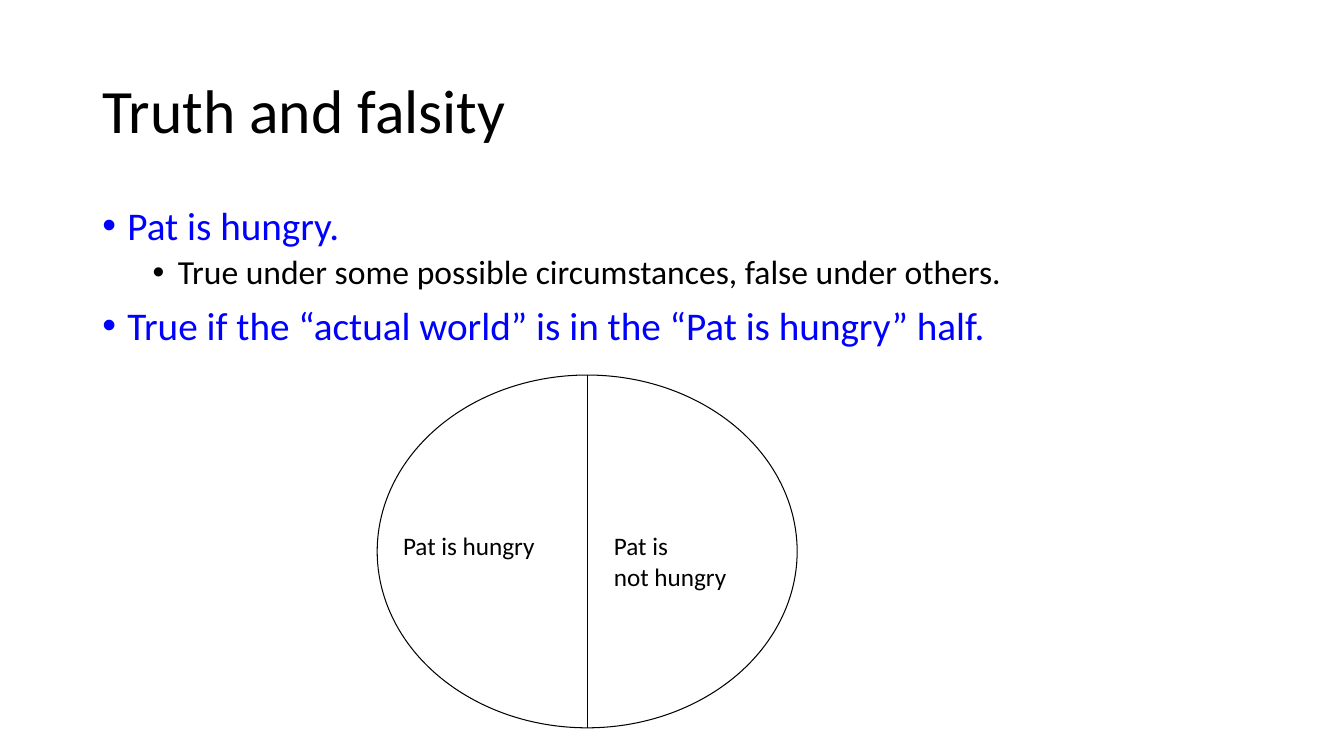
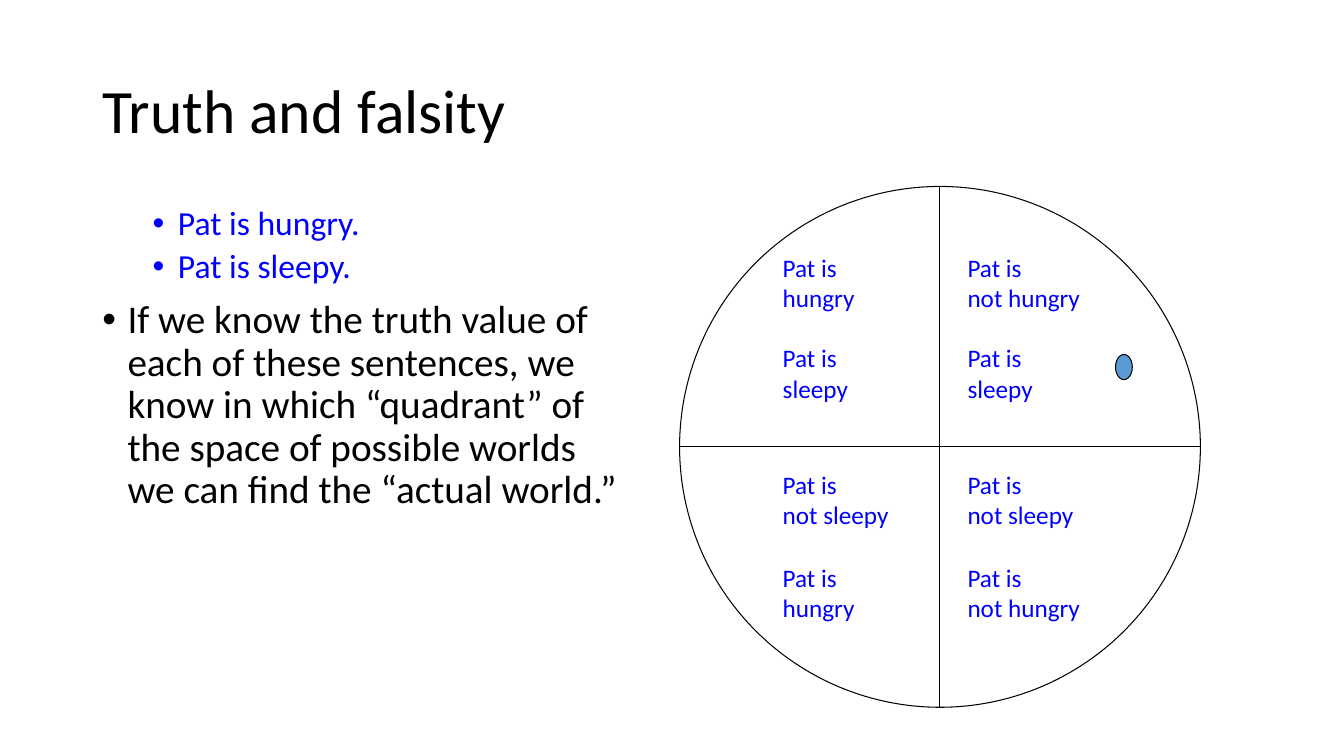
from lxml import etree
from pptx import Presentation
from pptx import util as u
from pptx.dml.color import RGBColor
from pptx.enum import shapes, text
from pptx.oxml.ns import qn

BLACK = RGBColor(0x00, 0x00, 0x00)
BLUE = RGBColor(0x00, 0x00, 0xFF)
DOT_BLUE = RGBColor(0x5B, 0x9B, 0xD5)
FONT = "Calibri"
LINE_WIDTH = u.Pt(0.75)
TITLE = "Truth and falsity"
# Bullet levels: text size, space before, left indent in grid cells
LEVELS = [(28, 10, 3), (24, 5, 9)]
HANGING = 3

presentation = Presentation()
presentation.slide_width = u.Inches(13.333)
presentation.slide_height = u.Inches(7.5)
# Square cells: 160 columns by 90 rows
CELL = presentation.slide_height / 90
LABEL_SIZE = (20, 10.8)

SLIDES = [
    {
        "body_columns": 138,
        "bullets": [
            (0, BLUE, "Pat is hungry."),
            (1, BLACK, "True under some possible circumstances, false under others."),
            (0, BLUE, "True if the “actual world” is in the “Pat is hungry” half."),
        ],
        "worlds": (44.9, 44.65, 50, 42),
        "halved_across": False,
        "label_color": BLACK,
        "label_columns": (46.8, 71.9),
        "label_rows": [62.6],
        "labels": [(["Pat is hungry"], ["Pat is", "not hungry"])],
        "actual_world": None,
    },
    {
        "body_columns": 65.4,
        "bullets": [
            (1, BLUE, "Pat is hungry."),
            (1, BLUE, "Pat is sleepy."),
            (0, BLACK, "If we know the truth value of each of these sentences, we know "
                       "in which “quadrant” of the space of possible worlds we can find "
                       "the “actual world.”"),
        ],
        "worlds": (80.9, 22.2, 62, 62),
        "halved_across": True,
        "label_color": BLUE,
        "label_columns": (92, 114),
        "label_rows": [29.4, 40.2, 55.3, 66.3],
        "labels": [
            (["Pat is", "hungry"], ["Pat is", "not hungry"]),
            (["Pat is", "sleepy"], ["Pat is", "sleepy"]),
            (["Pat is", "not sleepy"], ["Pat is", "not sleepy"]),
            (["Pat is", "hungry"], ["Pat is", "not hungry"]),
        ],
        "actual_world": (132.8, 42.2, 2, 3),
    },
]


def cells(*lengths):
    """Turn counts of grid cells into slide lengths."""
    return [u.Emu(round(length * CELL)) for length in lengths]


def add_text(paragraph, lines, size, color):
    """Add the lines as runs, with a line break between them."""
    for index, line in enumerate(lines):
        if index:
            paragraph.add_line_break()
        run = paragraph.add_run()
        run.text = line
        run.font.name = FONT
        run.font.size = u.Pt(size)
        run.font.color.rgb = color


for content in SLIDES:
    slide = presentation.slides.add_slide(presentation.slide_layouts[5])

    title = slide.shapes.title
    title.left, title.top, title.width, title.height = cells(11, 4.8, 138, 17.4)
    title.text_frame.vertical_anchor = text.MSO_ANCHOR.MIDDLE
    paragraph = title.text_frame.paragraphs[0]
    paragraph.alignment = text.PP_ALIGN.LEFT
    paragraph.line_spacing = 0.9
    add_text(paragraph, [TITLE], 44, BLACK)

    body = slide.shapes.add_textbox(*cells(11, 24, content["body_columns"], 57))
    body.text_frame.word_wrap = True
    for index, (level, color, sentence) in enumerate(content["bullets"]):
        size, space_before, indent = LEVELS[level]
        paragraph = body.text_frame.add_paragraph() if index else body.text_frame.paragraphs[0]
        paragraph.level = level
        paragraph.line_spacing = 0.9
        paragraph.space_before = u.Pt(space_before if index else 0)
        properties = paragraph._p.get_or_add_pPr()
        margin, hanging = cells(indent, -HANGING)
        properties.set("marL", str(margin))
        properties.set("indent", str(hanging))
        etree.SubElement(properties, qn("a:buFont")).set("typeface", "Arial")
        etree.SubElement(properties, qn("a:buChar")).set("char", "•")
        add_text(paragraph, [sentence], size, color)

    left, top, width, height = content["worlds"]
    ellipses = [(content["worlds"], None)]
    if content["actual_world"]:
        ellipses.append((content["actual_world"], DOT_BLUE))
    for place, fill in ellipses:
        ellipse = slide.shapes.add_shape(shapes.MSO_SHAPE.OVAL, *cells(*place))
        ellipse.shadow.inherit = False
        ellipse.line.color.rgb = BLACK
        ellipse.line.width = LINE_WIDTH
        if fill is None:
            ellipse.fill.background()
        else:
            ellipse.fill.solid()
            ellipse.fill.fore_color.rgb = fill

    center, middle = left + width / 2, top + height / 2
    dividers = [(center, top, center, top + height)]
    if content["halved_across"]:
        dividers.append((left, middle, left + width, middle))
    for ends in dividers:
        divider = slide.shapes.add_connector(shapes.MSO_CONNECTOR.STRAIGHT, *cells(*ends))
        divider.line.color.rgb = BLACK
        divider.line.width = LINE_WIDTH
        etree.SubElement(divider._element.spPr, qn("a:effectLst"))

    for row, labels in zip(content["label_rows"], content["labels"]):
        for column, lines in zip(content["label_columns"], labels):
            label = slide.shapes.add_textbox(*cells(column, row, *LABEL_SIZE))
            label.text_frame.word_wrap = True
            add_text(label.text_frame.paragraphs[0], lines, 18, content["label_color"])

presentation.save("out.pptx")
